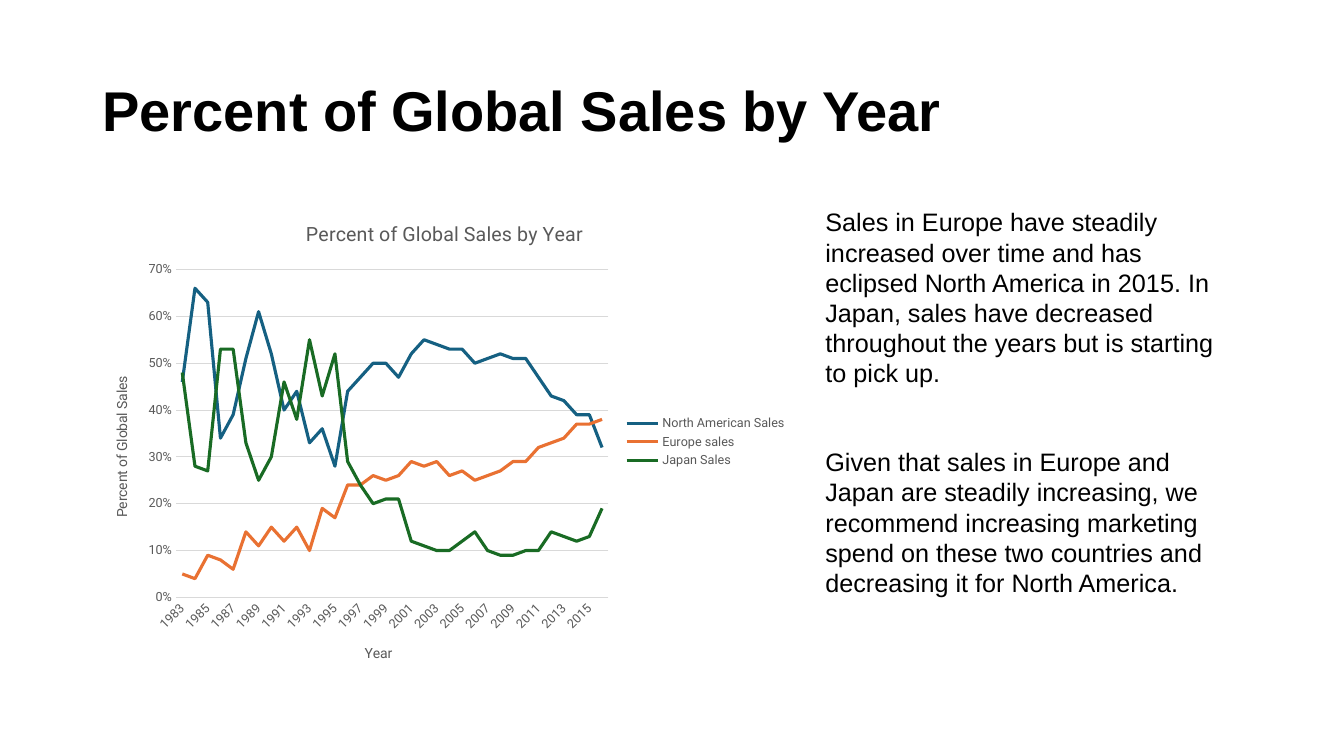
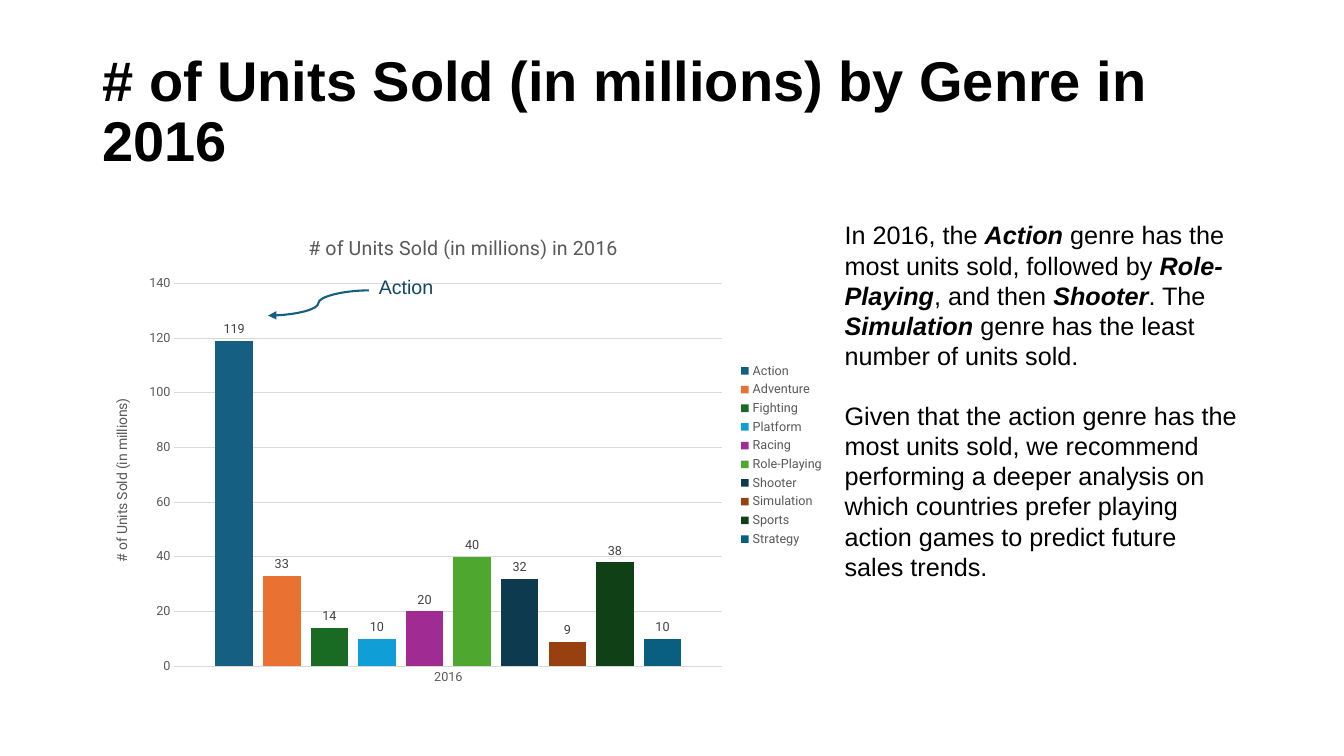
from dataclasses import dataclass

from lxml.etree import SubElement
from pptx import Presentation
from pptx.chart.axis import CategoryAxis, ValueAxis
from pptx.chart.chart import Chart
from pptx.chart.data import CategoryChartData
from pptx.dml.color import RGBColor
from pptx.enum.chart import (XL_CHART_TYPE, XL_LABEL_POSITION, XL_LEGEND_POSITION,
                             XL_TICK_MARK)
from pptx.enum.shapes import MSO_CONNECTOR
from pptx.enum.text import MSO_ANCHOR, MSO_AUTO_SIZE, PP_ALIGN
from pptx.oxml.ns import qn
from pptx.presentation import Presentation as Deck
from pptx.slide import Slide
from pptx.text.text import Font, TextFrame
from pptx.util import Pt


# Theme
@dataclass(frozen=True)
class Style:
    font: str
    size: float
    color: str
    bold: bool = False


@dataclass(frozen=True)
class Theme:
    title: Style = Style("Arial", 40, "000000", bold=True)
    note: Style = Style("Arial", 18, "000000")
    callout: Style = Style("Arial", 14, "104862")
    chart_title: Style = Style("Roboto", 14, "595959")
    axis_title: Style = Style("Roboto", 10, "595959")
    tick: Style = Style("Roboto", 9, "595959")
    data_label: Style = Style("Roboto", 9, "404040")
    grid: str = "D9D9D9"
    arrow: str = "156082"
    series: tuple[str, ...] = ("156082", "E97132", "196B24", "0F9ED5", "A02B93",
                               "4EA72E", "0D3A4E", "994010", "0F4016", "095F80")


THEME = Theme()


# Content types
@dataclass(frozen=True)
class Box:
    left: float
    top: float
    width: float
    height: float

    def pts(self) -> tuple[Pt, Pt, Pt, Pt]:
        return Pt(self.left), Pt(self.top), Pt(self.width), Pt(self.height)


@dataclass(frozen=True)
class Span:
    text: str
    strong: bool = False


@dataclass(frozen=True)
class Note:
    box: Box
    spans: tuple[Span, ...]
    style: Style = THEME.note


@dataclass(frozen=True)
class ChartPlan:
    kind: XL_CHART_TYPE
    box: Box
    title: str
    value_title: str
    categories: tuple[str, ...]
    series: dict[str, tuple[float, ...]]
    top: float
    step: float
    number_format: str
    category_title: str = ""


TITLE_BOX = Box(66, 28.8, 828, 104.4)

SALES = ChartPlan(
    XL_CHART_TYPE.LINE, Box(66, 144, 503.3, 343.4),
    "Percent of Global Sales by Year", "Percent of Global Sales",
    tuple(str(year) for year in range(1983, 2017)),
    {
        "North American Sales": (
            0.46, 0.66, 0.63, 0.34, 0.39, 0.51, 0.61, 0.52, 0.4, 0.44, 0.33, 0.36,
            0.28, 0.44, 0.47, 0.5, 0.5, 0.47, 0.52, 0.55, 0.54, 0.53, 0.53, 0.5,
            0.51, 0.52, 0.51, 0.51, 0.47, 0.43, 0.42, 0.39, 0.39, 0.32),
        "Europe sales": (
            0.05, 0.04, 0.09, 0.08, 0.06, 0.14, 0.11, 0.15, 0.12, 0.15, 0.1, 0.19,
            0.17, 0.24, 0.24, 0.26, 0.25, 0.26, 0.29, 0.28, 0.29, 0.26, 0.27, 0.25,
            0.26, 0.27, 0.29, 0.29, 0.32, 0.33, 0.34, 0.37, 0.37, 0.38),
        "Japan Sales": (
            0.48, 0.28, 0.27, 0.53, 0.53, 0.33, 0.25, 0.3, 0.46, 0.38, 0.55, 0.43,
            0.52, 0.29, 0.24, 0.2, 0.21, 0.21, 0.12, 0.11, 0.1, 0.1, 0.12, 0.14,
            0.1, 0.09, 0.09, 0.1, 0.1, 0.14, 0.13, 0.12, 0.13, 0.19),
    },
    top=0.7, step=0.1, number_format="0%", category_title="Year")

GENRES = ChartPlan(
    XL_CHART_TYPE.COLUMN_CLUSTERED, Box(66, 154, 530, 342),
    "# of Units Sold (in millions) in 2016", "# of Units Sold (in millions)",
    ("2016",),
    {"Action": (119,), "Adventure": (33,), "Fighting": (14,), "Platform": (10,),
     "Racing": (20,), "Role-Playing": (40,), "Shooter": (32,), "Simulation": (9,),
     "Sports": (38,), "Strategy": (10,)},
    top=140, step=20, number_format="General")

SALES_NOTES = (
    Note(Box(582.5, 144, 311, 138.2), (Span(
        "Sales in Europe have steadily increased over time and has eclipsed North "
        "America in 2015. In Japan, sales have decreased throughout the years but "
        "is starting to pick up."),)),
    Note(Box(582.5, 315.4, 311, 116.6), (Span(
        "Given that sales in Europe and Japan are steadily increasing, we recommend "
        "increasing marketing spend on these two countries and decreasing it for "
        "North America."),)),
)

GENRE_NOTES = (
    Note(Box(263.5, 193, 72, 24.5), (Span("Action"),), THEME.callout),
    Note(Box(596.2, 153.4, 298, 116.6), (
        Span("In 2016, the "), Span("Action ", True),
        Span("genre has the most units sold, followed by "),
        Span("Role-Playing", True), Span(", and then "), Span("Shooter", True),
        Span(". The "), Span("Simulation", True),
        Span(" genre has the least number of units sold."))),
    Note(Box(596.2, 282.2, 298, 138.2), (Span(
        "Given that the action genre has the most units sold, we recommend "
        "performing a deeper analysis on which countries prefer playing action "
        "games to predict future sales trends."),)),
)


# Text
def rgb(color: str) -> RGBColor:
    return RGBColor.from_string(color)


def apply_style(font: Font, style: Style) -> None:
    font.name, font.size, font.bold = style.font, Pt(style.size), style.bold
    font.color.rgb = rgb(style.color)


def write(tf: TextFrame, spans: tuple[Span, ...], style: Style) -> None:
    p = tf.paragraphs[0]
    for span in spans:
        r = p.add_run()
        r.text = span.text
        apply_style(r.font, style)
        if span.strong:
            r.font.bold = r.font.italic = True


def add_titled_slide(prs: Deck, title: str) -> Slide:
    s = prs.slides.add_slide(prs.slide_layouts[5])
    sp = s.shapes.title
    sp.left, sp.top, sp.width, sp.height = TITLE_BOX.pts()
    tf = sp.text_frame
    tf.auto_size, tf.vertical_anchor = MSO_AUTO_SIZE.NONE, MSO_ANCHOR.MIDDLE
    p = tf.paragraphs[0]
    p.alignment, p.line_spacing = PP_ALIGN.LEFT, 0.9
    write(tf, (Span(title),), THEME.title)
    return s


def add_note(s: Slide, note: Note) -> None:
    tf = s.shapes.add_textbox(*note.box.pts()).text_frame
    tf.word_wrap, tf.auto_size = True, MSO_AUTO_SIZE.SHAPE_TO_FIT_TEXT
    write(tf, note.spans, note.style)


# Charts
def format_axis(axis: CategoryAxis | ValueAxis, title: str) -> None:
    axis.major_tick_mark = axis.minor_tick_mark = XL_TICK_MARK.NONE
    apply_style(axis.tick_labels.font, THEME.tick)
    axis.has_title = bool(title)
    if title:
        write(axis.axis_title.text_frame, (Span(title),), THEME.axis_title)


def format_series(chart: Chart, kind: XL_CHART_TYPE) -> None:
    plot = chart.plots[0]
    plot.vary_by_categories = False
    for ser, color in zip(plot.series, THEME.series):
        if kind == XL_CHART_TYPE.LINE:
            ser.smooth = False
            ser.format.line.color.rgb = rgb(color)
            ser.format.line.width = Pt(2.25)
        else:
            ser.format.fill.solid()
            ser.format.fill.fore_color.rgb = rgb(color)
            labels = ser.data_labels
            labels.show_value = True
            labels.position = XL_LABEL_POSITION.OUTSIDE_END
            apply_style(labels.font, THEME.data_label)
    if kind == XL_CHART_TYPE.COLUMN_CLUSTERED:
        plot.gap_width, plot.overlap = 219, -27


def add_chart(s: Slide, plan: ChartPlan) -> Chart:
    data = CategoryChartData(number_format=plan.number_format)
    data.categories = plan.categories
    for name, values in plan.series.items():
        data.add_series(name, values)
    chart = s.shapes.add_chart(plan.kind, *plan.box.pts(), data).chart
    apply_style(chart.font, THEME.axis_title)
    chart.has_title = True
    write(chart.chart_title.text_frame, (Span(plan.title),), THEME.chart_title)
    chart.has_legend = True
    chart.legend.position = XL_LEGEND_POSITION.RIGHT
    chart.legend.include_in_layout = False
    apply_style(chart.legend.font, THEME.tick)

    category, value = chart.category_axis, chart.value_axis
    format_axis(category, plan.category_title)
    format_axis(value, plan.value_title)
    value.minimum_scale, value.maximum_scale = 0, plan.top
    value.major_unit = plan.step
    value.tick_labels.number_format = plan.number_format
    value.tick_labels.number_format_is_linked = False
    value.format.line.fill.background()
    for line in (category.format.line, value.major_gridlines.format.line):
        line.color.rgb, line.width = rgb(THEME.grid), Pt(0.75)
    rotate(chart, "c:valAx/c:title", -90)
    format_series(chart, plan.kind)
    return chart


def rotate(chart: Chart, part: str, degrees: int) -> None:
    for body in chart.element.xpath(f".//{part}//a:bodyPr"):
        body.set("rot", str(degrees * 60000))
        body.set("vert", "horz")


# Callout arrow
def add_curved_arrow(s: Slide, x1: float, y1: float, x2: float, y2: float) -> None:
    cxn = s.shapes.add_connector(MSO_CONNECTOR.CURVE, Pt(x1), Pt(y1), Pt(x2), Pt(y2))
    cxn.line.color.rgb, cxn.line.width = rgb(THEME.arrow), Pt(1.5)
    SubElement(cxn.element.xpath(".//a:ln")[0], qn("a:tailEnd"), type="triangle")
    SubElement(cxn.element.spPr, qn("a:effectLst"))


def main() -> None:
    prs = Presentation()
    prs.slide_width, prs.slide_height = Pt(960), Pt(540)

    # Sales by region
    s = add_titled_slide(prs, "Percent of Global Sales by Year")
    chart = add_chart(s, SALES)
    rotate(chart, "c:catAx/c:txPr", -45)
    for note in SALES_NOTES:
        add_note(s, note)

    # Units by genre
    s = add_titled_slide(prs, "# of Units Sold (in millions) by Genre in 2016")
    add_chart(s, GENRES)
    add_curved_arrow(s, 263.5, 207.4, 191.5, 225.4)
    for note in GENRE_NOTES:
        add_note(s, note)

    prs.save("out.pptx")


if __name__ == "__main__":
    main()
